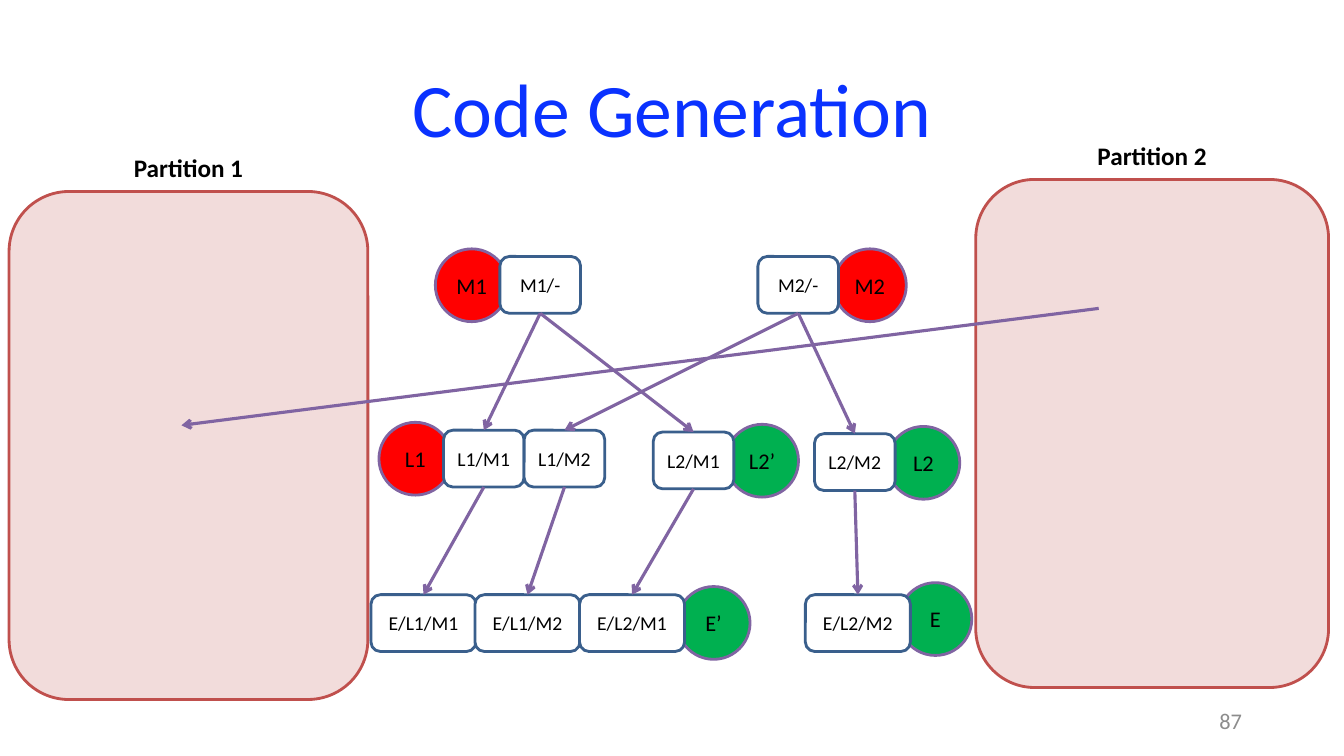
import pptx
import pptx.util
import pptx.dml.color
import pptx.enum.shapes
import pptx.enum.text
import pptx.oxml
import pptx.oxml.ns

Pt = pptx.util.Pt
KIND = pptx.enum.shapes.MSO_SHAPE
ALIGN = pptx.enum.text.PP_ALIGN
ANCHOR = pptx.enum.text.MSO_ANCHOR

# Content: lengths in points
HUES = {
    "panel": "F2DCDB", "rim": "C0504D", "blue": "0A32FF", "gray": "8C8C8C",
    "red": "FF0000", "green": "00B050", "edge": "8064A2", "frame": "3A5F8C",
    "white": "FFFFFF", "black": "000000",
}
FONT = "Calibri"

# Name, left, top, width
PANELS = [("Partition 1", 6.5, 136.8, 256.3), ("Partition 2", 697, 128.2, 252)]
PANEL_H = 362.9

# Name, hue, left, top
DISCS = [
    ("E", "green", 642.2, 416.2), ("M2", "red", 595.4, 177.8),
    ("L2", "green", 633.6, 304.6), ("L2’", "green", 518.4, 303.1),
    ("M1", "red", 311, 177.8), ("L1", "red", 270.7, 301.7),
    ("E’", "green", 483.8, 419),
]
DISC = 52

# Name, left, top
NODES = [
    ("M1/-", 357.1, 183.2), ("M2/-", 541.4, 183.2),
    ("L1/M1", 316.8, 307.3), ("L1/M2", 374.4, 307.3),
    ("L2/M1", 466.6, 308.6), ("L2/M2", 581.8, 309.8),
    ("E/L1/M1", 265, 424.8), ("E/L1/M2", 339.3, 424.8),
    ("E/L2/M1", 414, 424.8), ("E/L2/M2", 575.3, 424.8),
]
NODE_H, SHORT, LONG = 40.6, 57.6, 75

LINKS = [
    ("M2/-", "L1/M2"), ("M2/-", "L2/M2"), ("M1/-", "L1/M1"), ("M1/-", "L2/M1"),
    ("L1/M1", "E/L1/M1"), ("L1/M2", "E/L1/M2"),
    ("L2/M1", "E/L2/M1"), ("L2/M2", "E/L2/M2"),
]
CROSS = (784.8, 220.3, 129.6, 303.8)

deck = pptx.Presentation()
deck.slide_width, deck.slide_height = Pt(960), Pt(540)
slide = deck.slides.add_slide(deck.slide_layouts[6])


def tint(name):
    return pptx.dml.color.RGBColor.from_string(HUES[name])


def write(shape, text, size, hue, align=ALIGN.CENTER, anchor=ANCHOR.MIDDLE):
    frame = shape.text_frame
    frame.word_wrap = True
    frame.vertical_anchor = anchor
    line = frame.paragraphs[0]
    line.text, line.alignment = text, align
    line.font.name, line.font.size = FONT, Pt(size)
    line.font.color.rgb = tint(hue)
    return line


def label(area, *style):
    return write(slide.shapes.add_textbox(*map(Pt, area)), *style)


def draw(kind, area, fill, rim):
    shape = slide.shapes.add_shape(kind, *map(Pt, area))
    shape.shadow.inherit = False
    shape.fill.solid()
    shape.fill.fore_color.rgb = tint(fill)
    shape.line.color.rgb = tint(rim)
    shape.line.width = Pt(2)
    frame = shape.text_frame
    frame.margin_left = frame.margin_right = 0
    return shape


def arrow(*ends):
    line = slide.shapes.add_connector(
        pptx.enum.shapes.MSO_CONNECTOR.STRAIGHT, *map(Pt, ends))
    line.line.color.rgb = tint("edge")
    line.line.width = Pt(2.25)
    tip = pptx.oxml.parse_xml(
        f'<a:tailEnd {pptx.oxml.ns.nsdecls("a")} type="arrow"/>')
    line.line._get_or_add_ln().append(tip)
    line._element.spPr.append(pptx.oxml.parse_xml(
        f'<a:effectLst {pptx.oxml.ns.nsdecls("a")}/>'))
    return line


# Partitions with headings
for name, left, top, width in PANELS:
    draw(KIND.ROUNDED_RECTANGLE, (left, top, width, PANEL_H), "panel", "rim")
    head = label((left, top - 31.7, width, 29), name, 18, "black",
                 ALIGN.CENTER, ANCHOR.TOP)
    head.font.bold = True

# Title and page number
title = label((66.2, 28.8, 828, 104.4), "Code Generation", 54, "blue")
title.line_spacing = 0.9
label((678.2, 500.4, 216, 28.8), "87", 16, "gray", ALIGN.RIGHT)

# Discs, then the nodes that overlap them
for name, hue, left, top in DISCS:
    write(draw(KIND.OVAL, (left, top, DISC, DISC), hue, "edge"),
          name, 16, "black")

nodes = {}
for name, left, top in NODES:
    width = LONG if name.startswith("E") else SHORT
    nodes[name] = draw(KIND.ROUNDED_RECTANGLE, (left, top, width, NODE_H),
                       "white", "frame")
    write(nodes[name], name, 14, "black")

# Arrows from bottom centre to top centre
for start, end in LINKS:
    link = arrow(0, 0, 0, 0)
    link.begin_connect(nodes[start], 2)
    link.end_connect(nodes[end], 0)
arrow(*CROSS)

deck.save("out.pptx")
